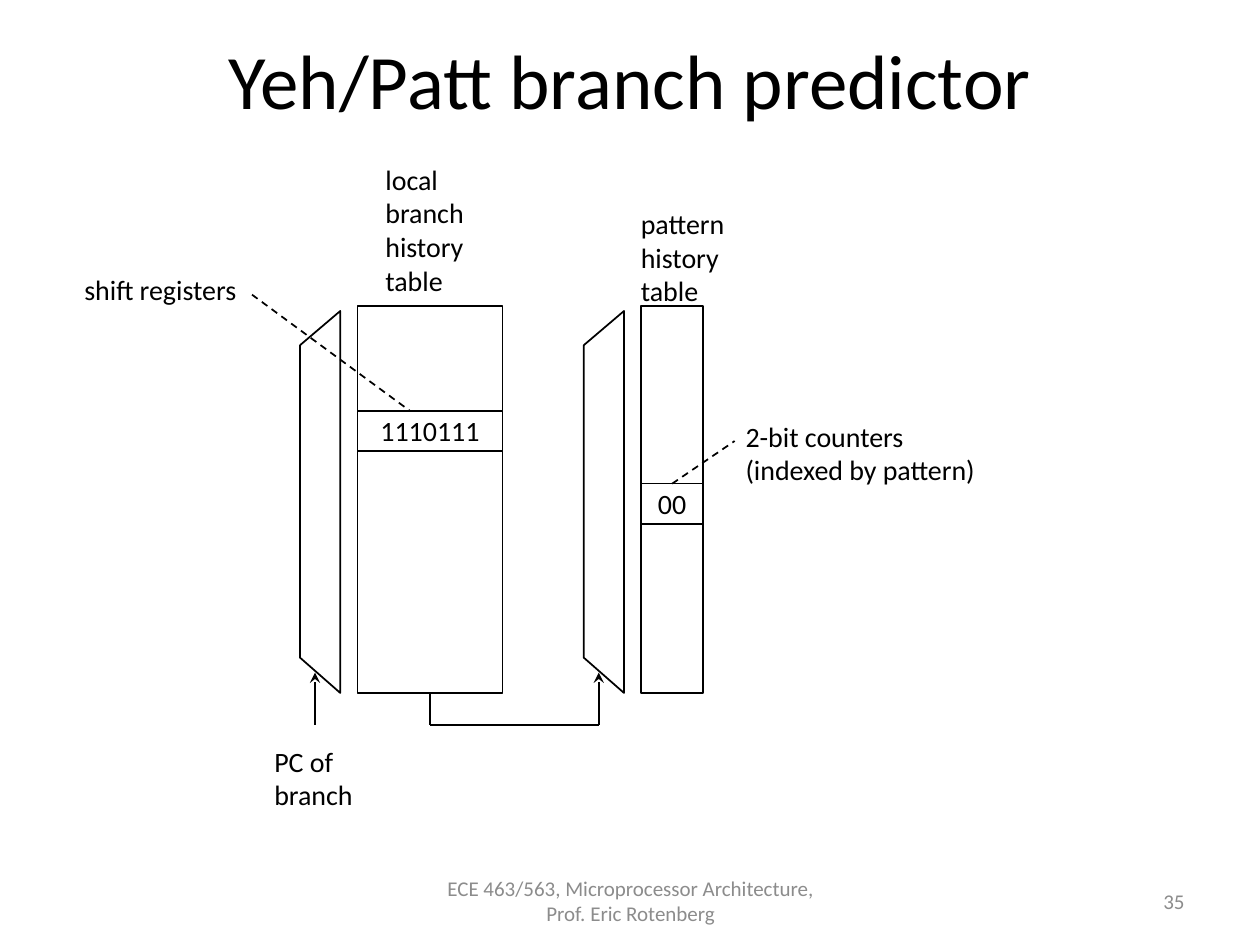
"""Build the slide on the Yeh/Patt branch predictor."""
from lxml.etree import SubElement
from pptx import Presentation
from pptx.dml.color import RGBColor
from pptx.enum.dml import MSO_LINE
from pptx.enum.shapes import MSO_CONNECTOR, MSO_SHAPE
from pptx.enum.text import MSO_ANCHOR, PP_ALIGN
from pptx.oxml.ns import qn
from pptx.util import Cm, Pt

BLACK = RGBColor(0, 0, 0)
WHITE = RGBColor(255, 255, 255)
GRAY = RGBColor(0x8C, 0x8C, 0x8C)
FONT = "Calibri"

TITLE = "Yeh/Patt branch predictor"
TOP, HIGH, CELL = 6.17, 7.8, 0.81
BUS = 14.61
TABLES = [
    {"left": 7.21, "width": 2.92, "cell": 8.28, "bits": "1110111"},
    {"left": 12.93, "width": 1.24, "cell": 9.75, "bits": "00"},
]
LABELS = [
    (["pattern\vhistory\vtable"], (12.67, 4.04, 2.36, 2.31), False),
    (["2-bit counters", "(indexed by pattern)"], (14.78, 8.33, 7.04, 1.63), True),
    (["shift registers"], (1.45, 5.36, 3.63, 0.94), False),
    (["local\vbranch\vhistory\vtable"], (7.52, 3.15, 2.24, 3), False),
    (["PC of", "branch"], (5.28, 14.88, 2.13, 1.63), False),
]
FOOTERS = [
    ("ECE 463/563, Microprocessor Architecture, Prof. Eric Rotenberg",
     (8.69, 17.65, 8.05, 1.02), PP_ALIGN.CENTER),
    ("35", (18.21, 17.65, 5.92, 1.02), PP_ALIGN.RIGHT),
]


def write(frame, paras, size=16, color=BLACK, align=PP_ALIGN.LEFT):
    for i, text in enumerate(paras):
        para = frame.paragraphs[0] if i == 0 else frame.add_paragraph()
        para.alignment = align
        for j, part in enumerate(text.split("\v")):
            if j:
                para.add_line_break()
            run = para.add_run()
            run.text = part
            run.font.name, run.font.size = FONT, Pt(size)
            run.font.color.rgb = color


def add_text(slide, paras, box, wrap=True, anchor=MSO_ANCHOR.TOP, **look):
    frame = slide.shapes.add_textbox(*map(Cm, box)).text_frame
    frame.word_wrap = wrap
    frame.vertical_anchor = anchor
    write(frame, paras, **look)


def paint(shape):
    shape.shadow.inherit = False
    shape.fill.solid()
    shape.fill.fore_color.rgb = WHITE
    shape.line.color.rgb = BLACK
    shape.line.width = Pt(1)
    return shape


def add_rect(slide, *box):
    return paint(slide.shapes.add_shape(MSO_SHAPE.RECTANGLE, *map(Cm, box)))


def add_line(slide, start, end, dash=False, arrow=False):
    line = slide.shapes.add_connector(MSO_CONNECTOR.STRAIGHT, *map(Cm, start + end))
    line.line.color.rgb = BLACK
    line.line.width = Pt(1)
    if dash:
        line.line.dash_style = MSO_LINE.DASH
    if arrow:
        SubElement(line.line._get_or_add_ln(), qn("a:tailEnd"), type="stealth")
    SubElement(line._element.spPr, qn("a:effectLst"))
    return line


def add_table(slide, left, width, cell, bits):
    body = add_rect(slide, left, TOP, width, HIGH)
    entry = add_rect(slide, left, cell, width, CELL)
    entry.text_frame.word_wrap = False
    entry.text_frame.vertical_anchor = MSO_ANCHOR.MIDDLE
    write(entry.text_frame, [bits], align=PP_ALIGN.CENTER)

    near, far, top, end = left - 0.35, left - 1.16, TOP + 0.1, TOP + HIGH
    pen = slide.shapes.build_freeform(Cm(near), Cm(top))
    points = [(far, top + 0.69), (far, end - 0.71), (near, end)]
    pen.add_line_segments([(Cm(x), Cm(y)) for x, y in points], close=True)
    paint(pen.convert_to_shape())
    add_line(slide, (left - 0.86, BUS), (left - 0.86, 13.56), arrow=True)
    return body, entry


def main():
    deck = Presentation()
    deck.slide_width, deck.slide_height = Cm(25.4), Cm(19.05)
    slide = deck.slides.add_slide(deck.slide_layouts[5])
    title = slide.shapes.title
    title.left, title.top, title.width, title.height = map(Cm, (1.27, 0, 22.86, 3.18))
    title.text_frame.vertical_anchor = MSO_ANCHOR.MIDDLE
    write(title.text_frame, [TITLE], size=44, align=PP_ALIGN.CENTER)

    (local, _), (_, count) = [add_table(slide, **table) for table in TABLES]
    first, second = TABLES
    mid = first["left"] + first["width"] / 2
    drop = add_line(slide, (mid, TOP + HIGH), (mid, BUS))
    drop.begin_connect(local, 2)
    add_line(slide, (mid, BUS), (second["left"] - 0.86, BUS))
    add_line(slide, (5.08, 5.94), (8.26, first["cell"]), dash=True)
    hint = add_line(slide, (13.55, second["cell"]), (14.81, 8.89), dash=True)
    hint.begin_connect(count, 0)

    for paras, box, wrap in LABELS:
        add_text(slide, paras, box, wrap)
    for text, box, align in FOOTERS:
        add_text(slide, [text], box, anchor=MSO_ANCHOR.MIDDLE,
                 size=12, color=GRAY, align=align)
    deck.save("out.pptx")


if __name__ == "__main__":
    main()
